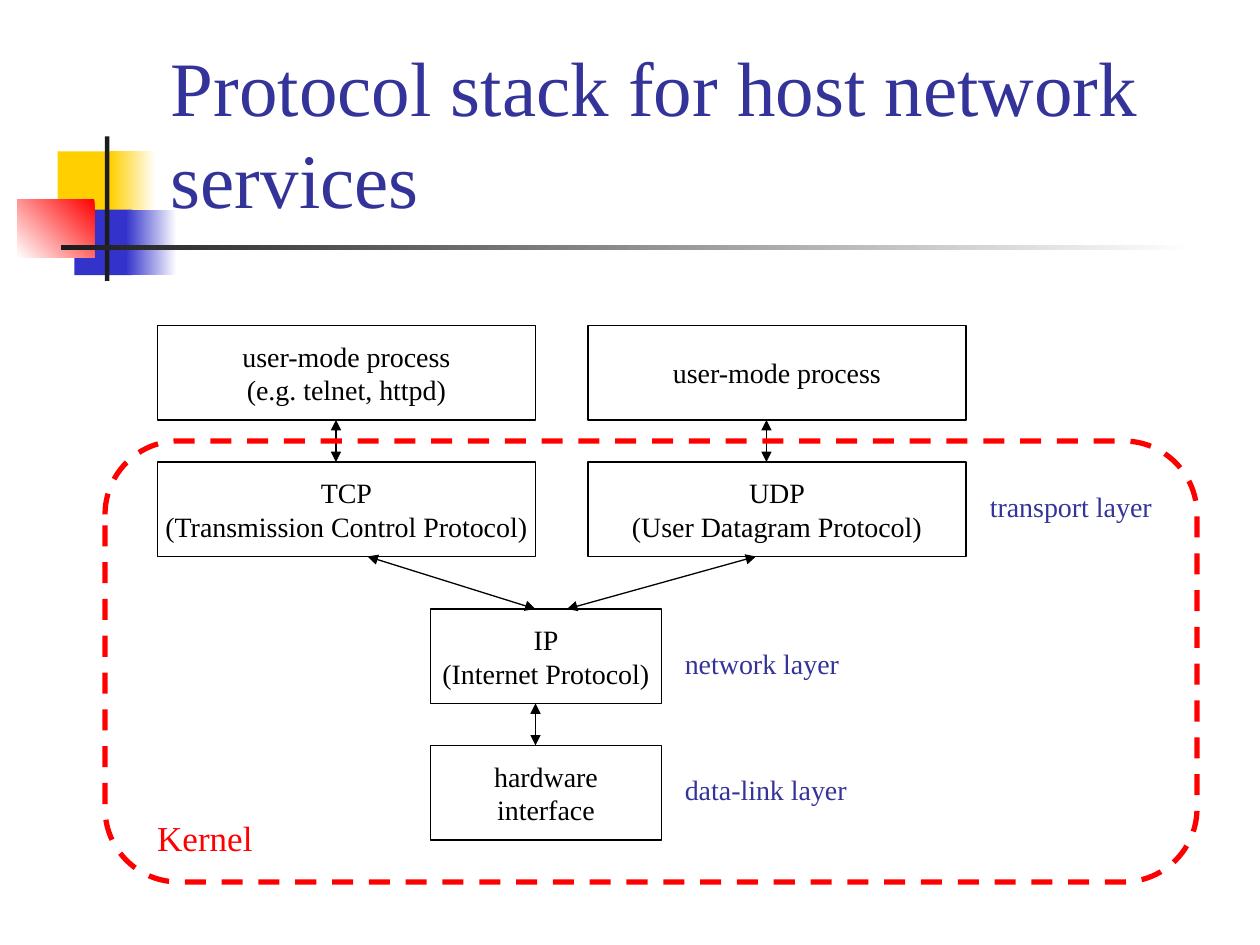
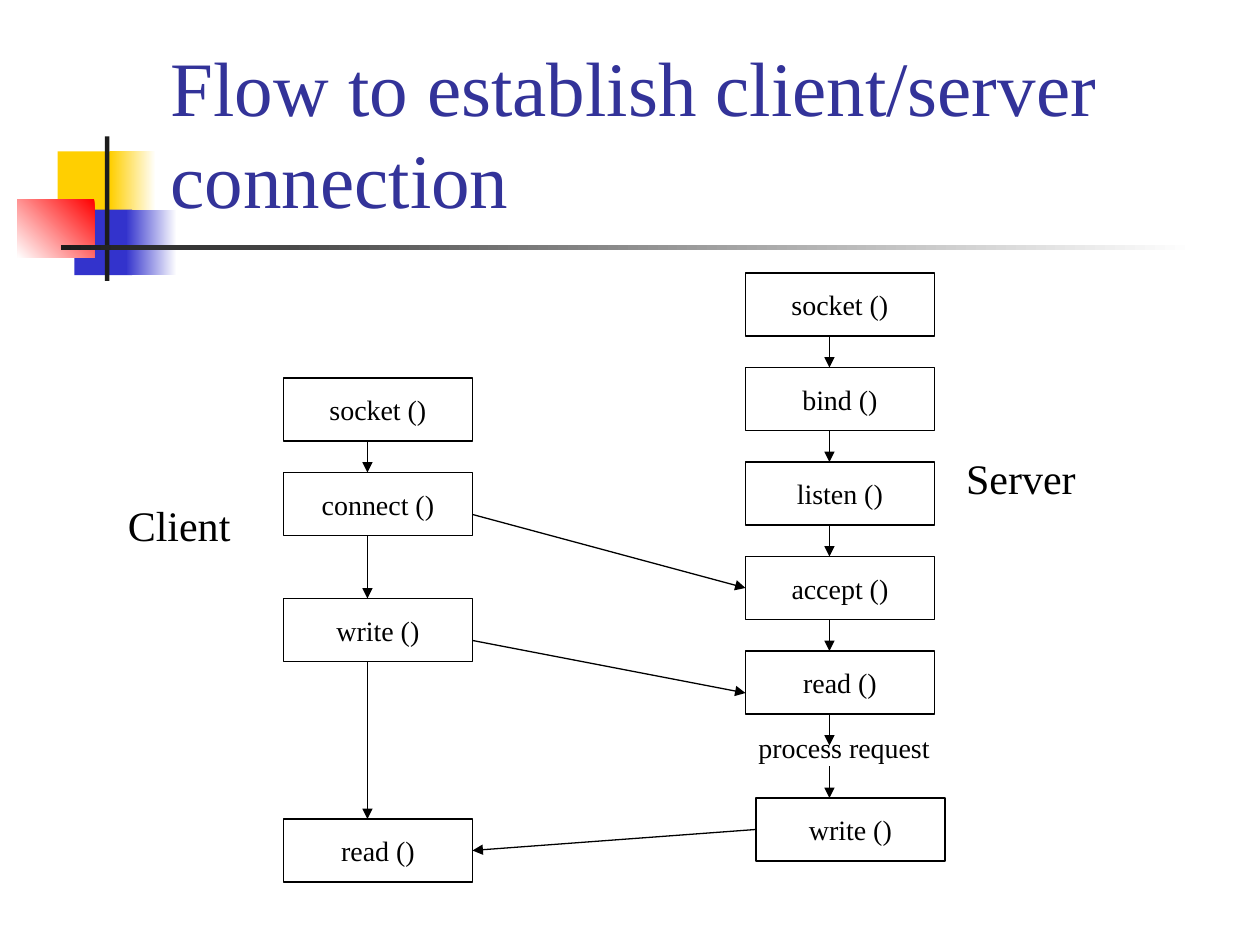
from lxml import etree
from pptx import Presentation
from pptx import util as u
from pptx.dml import color
from pptx.enum import dml, shapes, text
from pptx.oxml import ns

Pt = u.Pt
rgb = color.RGBColor.from_string
FONT = "Times New Roman"
BLACK, WHITE, RED = "000000", "FFFFFF", "FF0000"
NAVY, BLUE, YELLOW, CHARCOAL = "333399", "3333CC", "FFCF01", "1C1C1C"


def add_text(slide, words, left, top, width, height, size=16, ink=BLACK, boxed=False):
    place = Pt(left), Pt(top), Pt(width), Pt(height)
    if boxed:
        shape = slide.shapes.add_shape(shapes.MSO_SHAPE.RECTANGLE, *place)
        shape.shadow.inherit = False
        shape.fill.background()
        shape.line.color.rgb = rgb(BLACK)
        shape.line.width = Pt(0.75)
    else:
        shape = slide.shapes.add_textbox(*place)
    frame = shape.text_frame
    frame.text = words
    frame.word_wrap = not boxed
    frame.vertical_anchor = text.MSO_ANCHOR.MIDDLE if boxed else text.MSO_ANCHOR.TOP
    for paragraph in frame.paragraphs:
        paragraph.alignment = text.PP_ALIGN.CENTER if boxed else text.PP_ALIGN.LEFT
        for run in paragraph.runs:
            run.font.name = FONT
            run.font.size = Pt(size)
            run.font.color.rgb = rgb(ink)
    return shape


def add_arrow(slide, start_x, start_y, end_x, end_y, ends=("tailEnd",)):
    arrow = slide.shapes.add_connector(
        shapes.MSO_CONNECTOR.STRAIGHT, Pt(start_x), Pt(start_y), Pt(end_x), Pt(end_y))
    arrow.line.color.rgb = rgb(BLACK)
    arrow.line.width = Pt(0.75)
    outline = arrow.line._get_or_add_ln()
    for end in ends:
        etree.SubElement(outline, ns.qn("a:" + end), type="triangle")
    etree.SubElement(arrow._element.spPr, ns.qn("a:effectLst"))
    return arrow


presentation = Presentation()
presentation.slide_width = Pt(720)
presentation.slide_height = Pt(540)

titles = [
    "Protocol stack for host network services",
    "Flow to establish client/server connection",
]
ornaments = [
    (33, 86.5, 34.5, 37.5, (YELLOW,), 0),
    (63, 86.5, 26, 37.5, (WHITE, YELLOW), 180),
    (42.5, 119.75, 33, 37.5, (BLUE,), 0),
    (72, 119.75, 29, 37.5, (WHITE, BLUE), 180),
    (10, 113.75, 44, 33.5, (RED, WHITE), 225),
    (60, 78, 2.5, 82.5, (CHARCOAL,), 0),
    (34.75, 140.25, 648, 2.5, (WHITE, CHARCOAL), 180),
]
slides = []
for title in titles:
    slide = presentation.slides.add_slide(presentation.slide_layouts[6])
    slides.append(slide)
    for left, top, width, height, colors, angle in ornaments:
        shape = slide.shapes.add_shape(
            shapes.MSO_SHAPE.RECTANGLE, Pt(left), Pt(top), Pt(width), Pt(height))
        shape.shadow.inherit = False
        shape.line.fill.background()
        if len(colors) == 1:
            shape.fill.solid()
            shape.fill.fore_color.rgb = rgb(colors[0])
        else:
            shape.fill.gradient()
            shape.fill.gradient_angle = angle
            for position, (stop, hue) in enumerate(zip(shape.fill.gradient_stops, colors)):
                stop.position = position
                stop.color.rgb = rgb(hue)
    heading = add_text(slide, title, 90.5, 16.5, 613.5, 115.25, 44, NAVY)
    heading.text_frame.vertical_anchor = text.MSO_ANCHOR.BOTTOM

stack_slide, flow_slide = slides

layers = [
    ("hardware\ninterface", 246, 426, 132),
    ("IP\n(Internet Protocol)", 246, 348, 132),
    ("TCP\n(Transmission Control Protocol)", 90, 264, 216),
    ("UDP\n(User Datagram Protocol)", 336, 264, 216),
    ("user-mode process\n(e.g. telnet, httpd)", 90, 186, 216),
    ("user-mode process", 336, 186, 216),
]
for words, left, top, width in layers:
    add_text(stack_slide, words, left, top, width, 54, boxed=True)

stack_links = [
    (306, 426, 306, 402),
    (306, 348, 210, 318),
    (324, 348, 432, 318),
    (192, 264, 192, 240),
    (438, 264, 438, 240),
]
for link in stack_links:
    add_arrow(stack_slide, *link, ends=("headEnd", "tailEnd"))

layer_labels = [
    ("data-link layer", 384.25, 438),
    ("network layer", 384.25, 366),
    ("transport layer", 558.5, 276),
]
for words, left, top in layer_labels:
    add_text(stack_slide, words, left, top, 112, 26.5, ink=NAVY)

kernel = stack_slide.shapes.add_shape(
    shapes.MSO_SHAPE.ROUNDED_RECTANGLE, Pt(60), Pt(252), Pt(624), Pt(252))
kernel.shadow.inherit = False
kernel.fill.background()
kernel.line.color.rgb = rgb(RED)
kernel.line.width = Pt(3)
kernel.line.dash_style = dml.MSO_LINE.DASH
add_text(stack_slide, "Kernel", 82.75, 463, 76, 31.5, 20, RED)

client_calls = {"socket ()": 216, "connect ()": 270, "write ()": 342, "read ()": 468}
server_names = ["socket ()", "bind ()", "listen ()", "accept ()", "read ()"]
server_calls = {name: 156 + 54 * row for row, name in enumerate(server_names)}
client, server = [
    {name: add_text(flow_slide, name, left, top, 108, 36, boxed=True)
     for name, top in calls.items()}
    for left, calls in ((162, client_calls), (426, server_calls))
]
add_text(flow_slide, "process request", 426.25, 414, 118, 26.5)
server_write = add_text(flow_slide, "write ()", 432, 456, 108, 36, boxed=True)

for x, calls in ((474, server_calls), (210, client_calls)):
    tops = list(calls.values())
    for top, next_top in zip(tops, tops[1:]):
        add_arrow(flow_slide, x, top + 36, x, next_top)
for top in (408, 438):
    add_arrow(flow_slide, 474, top, 474, top + 18)

request = add_arrow(flow_slide, 270, 294, 426, 336)
request.end_connect(server["accept ()"], 1)
add_arrow(flow_slide, 270, 366, 426, 396)
reply = add_arrow(flow_slide, 432, 474, 270, 486)
reply.begin_connect(server_write, 1)
reply.end_connect(client["read ()"], 3)

add_text(flow_slide, "Server", 545, 255, 84, 36, 24)
add_text(flow_slide, "Client", 66, 282, 80, 36, 24)

presentation.save("out.pptx")
